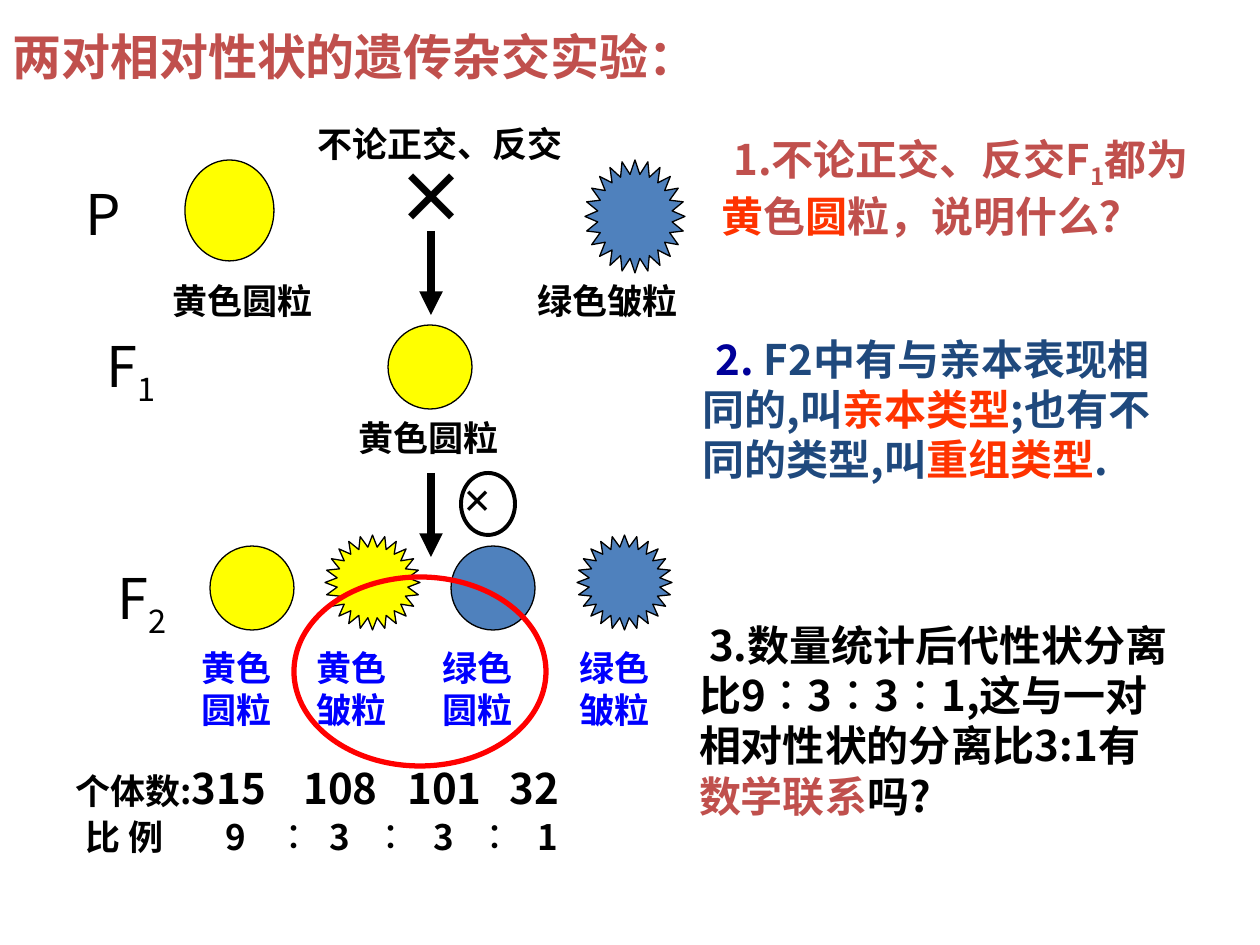
from typing import NamedTuple

import pptx
import pptx.dml.color
import pptx.enum.shapes
import pptx.oxml.ns
import pptx.util
from lxml import etree

PX = 914400 / 126
CJK = "Noto Sans CJK SC"
OVAL = pptx.enum.shapes.MSO_SHAPE.OVAL
BURST = pptx.enum.shapes.MSO_SHAPE.STAR_24_POINT
COLORS = {
    "black": "000000", "yellow": "FFFF00", "green_pea": "4F81BD", "label": "0000FF",
    "title": "C0504D", "accent": "FF3300", "navy": "000099", "body": "1F497D",
    "ring": "FF0000",
}


class Seed(NamedTuple):
    kind: int
    left: int
    top: int
    width: int
    height: int
    fill: str | None
    line: str = "black"
    weight: float = 0.75


class Piece(NamedTuple):
    text: str
    size: int = 20
    color: str = "black"
    bold: bool = True
    font: str = CJK
    subscript: bool = False


class Caption(NamedTuple):
    left: int
    top: int
    width: int
    height: int
    pieces: list[Piece]
    tabs: tuple[int, ...] = ()
    indent: int = 0
    inset: bool = True


def px(length: int) -> pptx.util.Emu:
    return pptx.util.Emu(round(length * PX))


def rgb(name: str) -> pptx.dml.color.RGBColor:
    return pptx.dml.color.RGBColor.from_string(COLORS[name])


def child(parent, tag: str, **attributes: str):
    return etree.SubElement(parent, pptx.oxml.ns.qn(tag), **attributes)


def draw_seed(slide, seed: Seed) -> None:
    outline = slide.shapes.add_shape(
        seed.kind, px(seed.left), px(seed.top), px(seed.width), px(seed.height))
    outline.shadow.inherit = False
    if seed.fill:
        outline.fill.solid()
        outline.fill.fore_color.rgb = rgb(seed.fill)
    else:
        outline.fill.background()
    outline.line.color.rgb = rgb(seed.line)
    outline.line.width = pptx.util.Pt(seed.weight)


def draw_arrow(slide, x: int, top: int, bottom: int) -> None:
    arrow = slide.shapes.add_connector(
        pptx.enum.shapes.MSO_CONNECTOR.STRAIGHT, px(x), px(top), px(x), px(bottom))
    arrow.line.color.rgb = rgb("black")
    arrow.line.width = pptx.util.Pt(4.5)
    child(arrow.line._get_or_add_ln(), "a:tailEnd", type="triangle")
    child(arrow._element.spPr, "a:effectLst")


def draw_caption(slide, caption: Caption) -> None:
    frame = slide.shapes.add_textbox(
        px(caption.left), px(caption.top), px(caption.width), px(caption.height)).text_frame
    frame.word_wrap = True
    if not caption.inset:
        frame.margin_left = frame.margin_right = frame.margin_top = frame.margin_bottom = 0
    paragraph = frame.paragraphs[0]
    properties = paragraph._p.get_or_add_pPr()
    if caption.indent:
        properties.set("marL", "0")
        properties.set("indent", str(px(caption.indent)))
    if caption.tabs:
        stops = child(properties, "a:tabLst")
        for stop in caption.tabs:
            child(stops, "a:tab", pos=str(px(stop)), algn="l")
    for piece in caption.pieces:
        run = paragraph.add_run()
        run.text = piece.text
        run.font.size = pptx.util.Pt(piece.size)
        run.font.bold = piece.bold
        run.font.color.rgb = rgb(piece.color)
        run.font.name = piece.font
        child(run._r.get_or_add_rPr(), "a:ea", typeface=CJK)
        if piece.subscript:
            run._r.get_or_add_rPr().set("baseline", "-25000")


def generation(left: int, top: int, letter: str, number: str = "") -> Caption:
    pieces = [Piece(letter, 32, bold=False)]
    if number:
        pieces.append(Piece(number, 32, bold=False, subscript=True))
    return Caption(left, top, 105, 89, pieces)


SEEDS = [
    Seed(OVAL, 185, 160, 89, 101, "yellow"),
    Seed(BURST, 585, 160, 100, 113, "green_pea"),
    Seed(OVAL, 388, 325, 84, 84, "yellow"),
    Seed(OVAL, 210, 546, 84, 84, "yellow"),
    Seed(BURST, 325, 535, 95, 95, "yellow"),
    Seed(OVAL, 451, 546, 84, 84, "green_pea"),
    Seed(BURST, 577, 535, 95, 95, "green_pea"),
]
RINGS = [
    Seed(OVAL, 294, 577, 252, 189, None, "ring", 3),
    Seed(OVAL, 461, 473, 54, 62, None, "black", 2.25),
]
OFFSPRING = [(189, "黄色圆粒"), (304, "黄色皱粒"), (430, "绿色圆粒"), (567, "绿色皱粒")]

CAPTIONS = [
    Caption(0, 20, 777, 72, [Piece("两对相对性状的遗传杂交实验：", 28, "title")]),
    generation(73, 173, "P"),
    generation(94, 325, "F", "1"),
    generation(105, 557, "F", "2"),
    Caption(305, 116, 295, 55, [Piece("不论正交、反交")]),
    Caption(384, 147, 90, 97, [Piece("×", 40)]),
    Caption(160, 273, 179, 55, [Piece("黄色圆粒")]),
    Caption(525, 273, 179, 55, [Piece("绿色皱粒")]),
    Caption(346, 410, 179, 55, [Piece("黄色圆粒")]),
    Caption(451, 462, 57, 72, [Piece("×", 28, font="Times New Roman")]),
    *[Caption(left, 640, 116, 97, [Piece(name, color="label")]) for left, name in OFFSPRING],
    Caption(63, 756, 690, 63, [Piece("个体数:"), Piece("315\t108\t101\t32", 24)],
            tabs=(228, 332, 434)),
    Caption(73, 809, 123, 55, [Piece("比 例")]),
    Caption(213, 809, 483, 55, [Piece("9\t︰\t3\t︰\t3\t︰\t1")],
            tabs=(51, 104, 148, 208, 252, 312)),
    Caption(709, 127, 504, 127, [
        Piece("1.不论正交、反交F", 24, "title"),
        Piece("1", 24, "title", subscript=True),
        Piece("都", 24, "title", font="Arial"),
        Piece("为", 24, "title"),
        Piece("黄", 24, "accent"),
        Piece("色", 24, "title"),
        Piece("圆", 24, "accent"),
        Piece("粒，说明什么？", 24, "title"),
    ], indent=12),
    Caption(703, 333, 451, 218, [
        Piece("2. ", 24, "navy"),
        Piece("F2中有与亲本表现相同的,叫", 24, "body"),
        Piece("亲本类型", 24, "accent"),
        Piece(";也有不同的类型,叫", 24, "body"),
        Piece("重组类型", 24, "accent"),
        Piece(".", 24, "body"),
    ], indent=13, inset=False),
    Caption(699, 619, 473, 210, [
        Piece("3.数量统计后代性状分离比9︰3︰3︰1,这与一对相对性状的分离比3:1有", 24),
        Piece("数学联系", 24, "title"),
        Piece("吗?", 24),
    ], indent=10, inset=False),
]


def main() -> None:
    deck = pptx.Presentation()
    deck.slide_width, deck.slide_height = px(1260), px(945)
    slide = deck.slides.add_slide(deck.slide_layouts[6])
    for top, bottom in ((231, 315), (473, 557)):
        draw_arrow(slide, 431, top, bottom)
    for seed in SEEDS:
        draw_seed(slide, seed)
    for caption in CAPTIONS:
        draw_caption(slide, caption)
    for ring in RINGS:
        draw_seed(slide, ring)
    deck.save("out.pptx")


if __name__ == "__main__":
    main()
